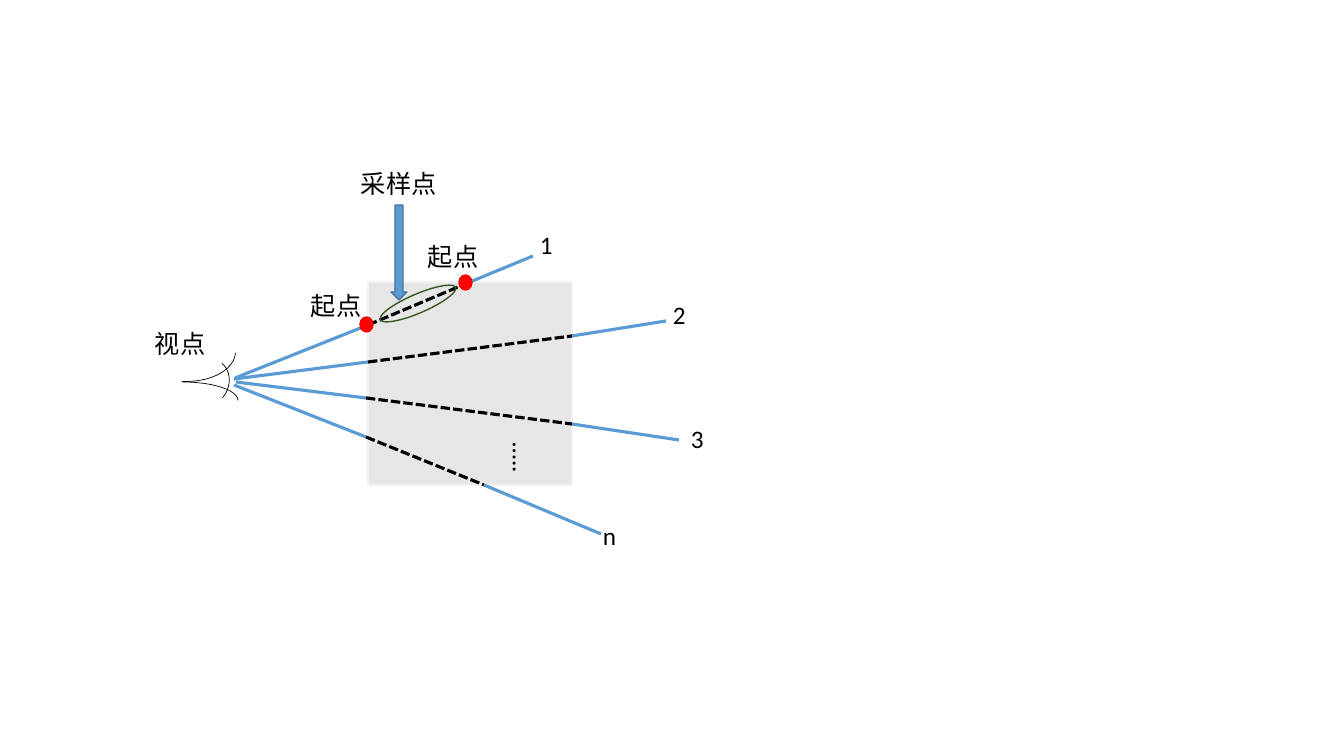
from collections import namedtuple

from pptx import Presentation
from pptx.dml.color import RGBColor
from pptx.enum.dml import MSO_LINE
from pptx.enum.shapes import MSO_CONNECTOR, MSO_SHAPE
from pptx.enum.text import MSO_AUTO_SIZE
from pptx.oxml.ns import qn
from pptx.util import Pt
from lxml.etree import SubElement

SCALE = 914400 / 100.8
COLORS = {
    "ink": "000000",
    "ray": "5B9BD5",
    "arrow_edge": "43739E",
    "volume": "E7E6E6",
    "volume_edge": "F2F2F2",
    "point": "FF0000",
    "sample_edge": "385723",
}
Box = namedtuple("Box", "left top width height")


def px(length):
    return round(length * SCALE)


def color(name):
    return RGBColor.from_string(COLORS[name])


def inside(box, left, top, width, height):
    return Box(box.left + left, box.top + top, width, height)


def add_outline(page, kind, box, edge, weight=1, fill=None, rotation=0):
    shape = page.shapes.add_shape(kind, *map(px, box))
    shape.shadow.inherit = False
    shape.rotation = rotation
    shape.line.color.rgb = color(edge)
    shape.line.width = Pt(weight)
    if fill:
        shape.fill.solid()
        shape.fill.fore_color.rgb = color(fill)
    else:
        shape.fill.background()


def add_label(page, text, box, vertical=False):
    label = page.shapes.add_textbox(*map(px, box))
    frame = label.text_frame
    frame.text = text
    frame.word_wrap = False
    frame.auto_size = MSO_AUTO_SIZE.SHAPE_TO_FIT_TEXT
    if vertical:
        label.element.txBody.find(qn("a:bodyPr")).set("vert", "eaVert")
    font = frame.paragraphs[0].runs[0].font
    font.name = "Calibri"
    font.size = Pt(18)
    font.color.rgb = color("ink")


def add_segment(page, box, start, end, dashed):
    points = [box.left + start[0], box.top + start[1],
              box.left + end[0], box.top + end[1]]
    line = page.shapes.add_connector(MSO_CONNECTOR.STRAIGHT, *map(px, points))
    line.line.color.rgb = color("ink" if dashed else "ray")
    line.line.width = Pt(2.25)
    if dashed:
        line.line.dash_style = MSO_LINE.SQUARE_DOT
    SubElement(line.element.spPr, qn("a:effectLst"))


def draw_eye(page, box):
    arcs = [
        ((0, 84, 111, 37), 0),
        ((25, 0, 62, 105), 92.6),
        ((55, 59, 46, 52), 40.6),
    ]
    for place, rotation in arcs:
        add_outline(page, MSO_SHAPE.ARC, inside(box, *place), "ink", 0.5, rotation=rotation)
    add_label(page, "视点", inside(box, 18, 25, 72, 40))


def draw_rays(page, box):
    add_outline(page, MSO_SHAPE.RECTANGLE, box, "volume_edge", fill="volume")
    rays = [
        ("1", (162, -58), [(-133, 96), (0, 43), (102, 0), (165, -26)]),
        ("2", (295, 12), [(-134, 97), (0, 80), (204, 54), (298, 39)]),
        ("3", (313, 136), [(-132, 100), (-2, 116), (204, 142), (311, 158)]),
        ("n", (225, 233), [(-134, 103), (-2, 155), (116, 203), (233, 252)]),
    ]
    for name, place, stops in rays:
        for index, (start, end) in enumerate(zip(stops, stops[1:])):
            add_segment(page, box, start, end, dashed=index == 1)
        add_label(page, name, inside(box, *place, 33, 40))
    add_label(page, "…..", inside(box, 125, 151, 50, 40), vertical=True)


def draw_sampling(page, box):
    for label_place, point_place in [((-67, 3), (-8, 35)), ((50, -46), (91, -7))]:
        add_label(page, "起点", inside(box, *label_place, 72, 40))
        add_outline(page, MSO_SHAPE.OVAL, inside(box, *point_place, 13, 15), "point", fill="point")
    add_outline(page, MSO_SHAPE.OVAL, inside(box, 9, 12, 82, 19), "sample_edge", rotation=336.8)
    add_outline(page, MSO_SHAPE.DOWN_ARROW, inside(box, 23, -77, 16, 95), "arrow_edge", fill="ray")
    add_label(page, "采样点", inside(box, -17, -119, 97, 40))


def main():
    deck = Presentation()
    deck.slide_width = px(1344)
    deck.slide_height = px(756)
    page = deck.slides.add_slide(deck.slide_layouts[6])
    volume = Box(368, 282, 204, 203)
    draw_eye(page, Box(127, 298, 111, 121))
    draw_rays(page, volume)
    draw_sampling(page, volume)
    deck.save("out.pptx")


if __name__ == "__main__":
    main()
